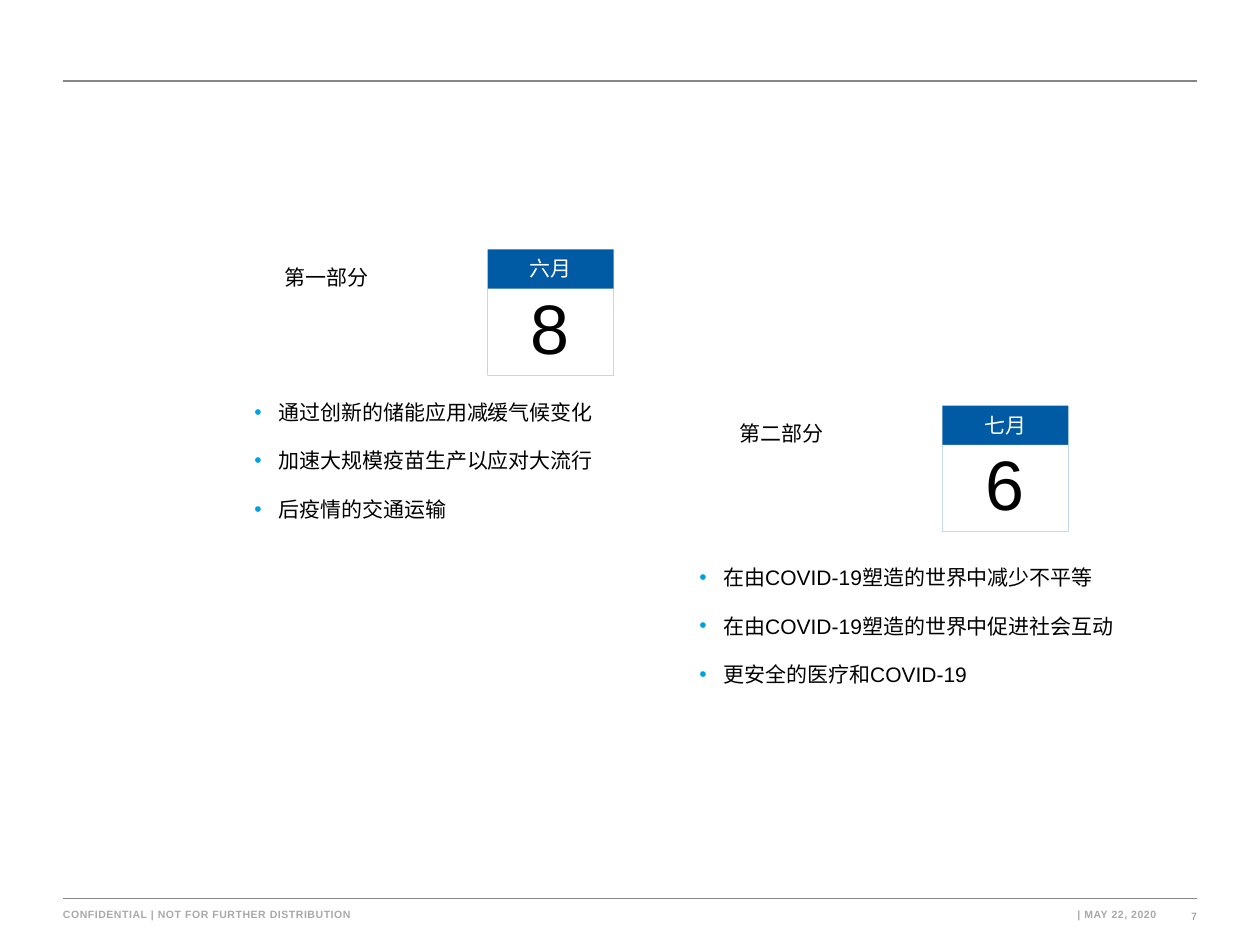
from lxml import etree
from pptx import Presentation
from pptx.dml.color import RGBColor
from pptx.enum.shapes import MSO_CONNECTOR as CONN, MSO_SHAPE as SHAPE
from pptx.enum.text import PP_ALIGN as ALIGN
from pptx.oxml.ns import qn
from pptx.util import Cm, Pt

BLUE, CYAN, GREY, PALE = "005AA4", "00A1E2", "868686", "A9A9A9"


def color(fmt, value):
    """Give a fill, line or font colour format a hex colour."""
    fmt.rgb = RGBColor.from_string(value)


def add_text(shapes, box, lines, size=12, ink="000000", align=ALIGN.LEFT,
             wrap=True, bold=False, spacing=None):
    """Add a text box without margins, one paragraph per line, and return it."""
    sp = shapes.add_textbox(*map(Cm, box))
    tf = sp.text_frame
    tf.margin_left = tf.margin_right = tf.margin_top = tf.margin_bottom = 0
    tf.word_wrap = wrap
    tf.text = "\n".join(lines)
    for p in tf.paragraphs:
        p.alignment = align
        for r in p.runs:
            r.font.name, r.font.size, r.font.bold = "Arial", Pt(size), bold
            color(r.font.color, ink)
            if spacing:
                r.font._element.set("spc", str(spacing))
    return sp


def add_rect(shapes, box, fill):
    """Add a plain rectangle without outline."""
    sp = shapes.add_shape(SHAPE.RECTANGLE, *map(Cm, box))
    sp.shadow.inherit = False
    sp.fill.solid()
    color(sp.fill.fore_color, fill)
    sp.line.fill.background()


def add_rule(s, x, y, w):
    """Add a thin grey horizontal line."""
    ln = s.shapes.add_connector(CONN.STRAIGHT, Cm(x), Cm(y), Cm(x + w), Cm(y))
    color(ln.line.color, GREY)
    ln.line.width = Pt(1)
    etree.SubElement(ln._element.spPr, qn("a:effectLst"))


def add_bullets(s, box, lines):
    """Add a spaced list with coloured bullets and hanging indents."""
    sp = add_text(s.shapes, box, lines)
    for p in sp.text_frame.paragraphs:
        p.line_spacing, p.space_before = 1.2, Pt(10.5)
        pPr = p._p.get_or_add_pPr()
        pPr.set("marL", str(Cm(0.48)))
        pPr.set("indent", str(-Cm(0.48)))
        clr = etree.SubElement(pPr, qn("a:buClr"))
        etree.SubElement(clr, qn("a:srgbClr"), val=CYAN)
        etree.SubElement(pPr, qn("a:buFont"), typeface="Arial")
        etree.SubElement(pPr, qn("a:buChar"), char="•")


def add_calendar(s, x, y, month, day, side=2.54):
    """Add a grouped calendar sheet with its month and day."""
    shapes = s.shapes.add_group_shape().shapes
    add_rect(shapes, (x, y, side, side), BLUE)
    add_rect(shapes, (x, y + 0.79, side, 1.75), "FFFFFF")
    add_text(shapes, (x, y + 0.13, side, 0.51), [month], ink="FFFFFF",
             align=ALIGN.CENTER)
    add_text(shapes, (x + 0.51, y + 0.71, 1.5, 1.7), [day], size=40,
             align=ALIGN.CENTER)


def add_part(s, x, y, title, month, day, list_box, topics):
    """Add one part: its title, calendar sheet and list of topics."""
    dx, dy, w, h = list_box
    add_calendar(s, x + 4.09, y, month, day)
    add_text(s.shapes, (x, y + 0.3, 1.7, 0.51), [title], wrap=False)
    add_bullets(s, (x + dx, y + dy, w, h), topics)


def add_frame(s, x, w):
    """Add the top and bottom rules, the footer texts and the page number."""
    for y in (1.63, 18.11):
        add_rule(s, x, y, w)
    right = x + w
    add_text(s.shapes, (right - 0.25, 18.34, 0.25, 0.25), ["7"], 6, GREY,
             ALIGN.RIGHT, wrap=False)
    footers = [(x, "CONFIDENTIAL | NOT FOR FURTHER DISTRIBUTION", ALIGN.LEFT),
               (right - 8.69, "| MAY 22, 2020", ALIGN.RIGHT)]
    for left, text, align in footers:
        add_text(s.shapes, (left, 18.31, 7.87, 0.38), [text], 6, PALE, align,
                 wrap=False, bold=True, spacing=30)


def main():
    """Build the schedule slide and save it."""
    prs = Presentation()
    prs.slide_width, prs.slide_height = Cm(25.4), Cm(19.05)
    s = prs.slides.add_slide(prs.slide_layouts[6])
    add_frame(s, 1.27, 22.86)
    add_part(s, 5.74, 5.03, "第一部分", "六月", "8", (-0.61, 2.92, 7.57, 3.73),
             ["通过创新的储能应用减缓气候变化",
              "加速大规模疫苗生产以应对大流行",
              "后疫情的交通运输"])
    add_part(s, 14.91, 8.18, "第二部分", "七月", "6", (-0.81, 3.1, 8.53, 3.73),
             ["在由COVID-19塑造的世界中减少不平等",
              "在由COVID-19塑造的世界中促进社会互动",
              "更安全的医疗和COVID-19"])
    prs.save("out.pptx")


main()
